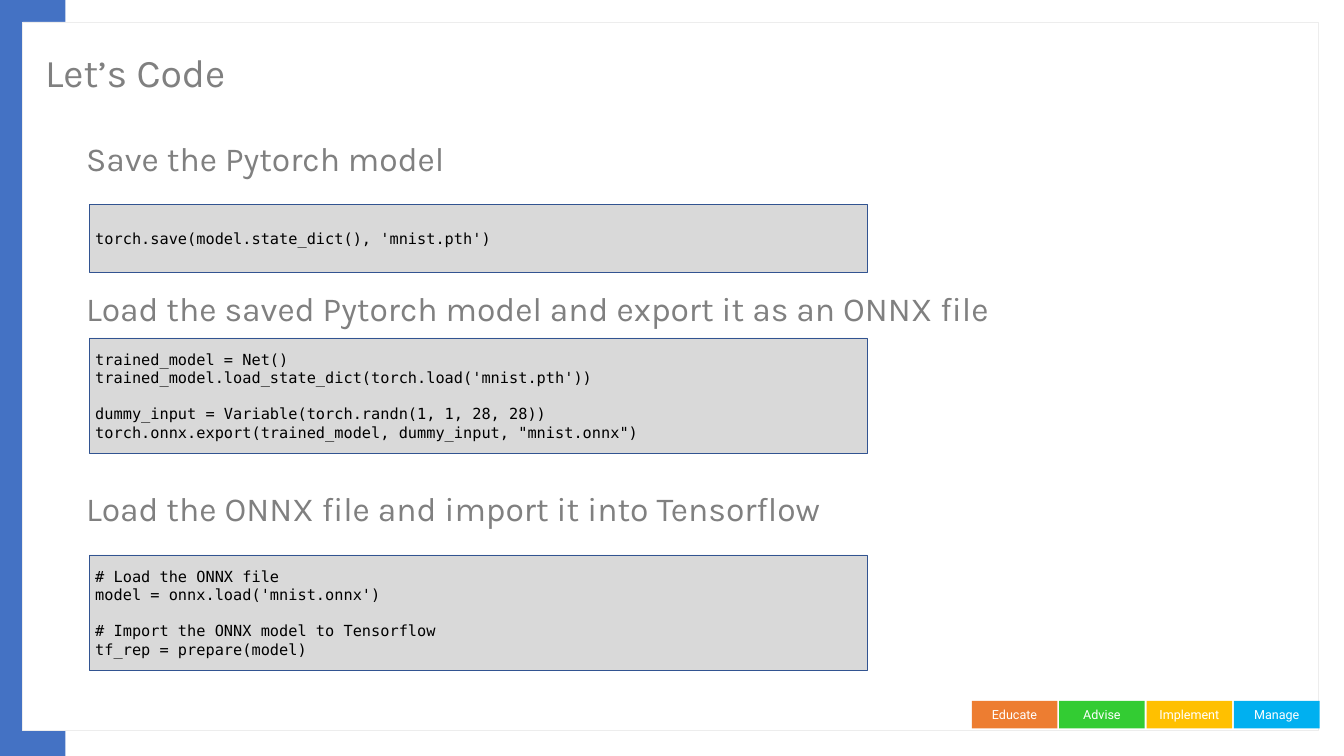
import pptx
import pptx.dml.color
import pptx.enum.shapes
import pptx.enum.text
import pptx.util

Inches = pptx.util.Inches
Pt = pptx.util.Pt
RGBColor = pptx.dml.color.RGBColor
PP_ALIGN = pptx.enum.text.PP_ALIGN

WHITE = RGBColor(0xFF, 0xFF, 0xFF)
BLACK = RGBColor(0x00, 0x00, 0x00)
BLUE = RGBColor(0x44, 0x72, 0xC4)
PANEL_EDGE = RGBColor(0xED, 0xED, 0xED)
HEADING_GRAY = RGBColor(0x80, 0x80, 0x80)
CODE_FILL = RGBColor(0xD9, 0xD9, 0xD9)
CODE_EDGE = RGBColor(0x32, 0x54, 0x91)
ORANGE = RGBColor(0xED, 0x7D, 0x31)
GREEN = RGBColor(0x33, 0xCC, 0x33)
AMBER = RGBColor(0xFF, 0xC0, 0x00)
SKY = RGBColor(0x00, 0xB0, 0xF0)

deck = pptx.Presentation()
deck.slide_width = Inches(21.99)
deck.slide_height = Inches(12.37)
slide = deck.slides.add_slide(deck.slide_layouts[6])


def add_box(left, top, width, height, fill, edge=None):
    box = slide.shapes.add_shape(
        pptx.enum.shapes.MSO_SHAPE.RECTANGLE,
        Inches(left), Inches(top), Inches(width), Inches(height))
    box.shadow.inherit = False
    box.fill.solid()
    box.fill.fore_color.rgb = fill
    if edge is None:
        box.line.fill.background()
    else:
        box.line.color.rgb = edge
        box.line.width = Pt(1)
    return box


def write_lines(holder, lines, size, font, color, align=PP_ALIGN.LEFT, spacing=1.0):
    """Write one paragraph per line; an empty line becomes space before the next."""
    frame = holder.text_frame
    frame.word_wrap = True
    frame.vertical_anchor = pptx.enum.text.MSO_ANCHOR.MIDDLE
    paragraph = frame.paragraphs[0]
    gap = 0
    for number, line in enumerate(lines):
        if not line:
            gap = size * 1.17
            continue
        if number:
            paragraph = frame.add_paragraph()
        paragraph.alignment = align
        paragraph.line_spacing = spacing
        paragraph.space_before = Pt(gap)
        gap = 0
        run = paragraph.add_run()
        run.text = line
        run.font.size = Pt(size)
        run.font.name = font
        run.font.color.rgb = color


# Blue side band and white panel
add_box(0, 0, 1.07, 12.37, BLUE)
add_box(0.37, 0.36, 21.21, 11.6, WHITE, PANEL_EDGE)

# Footer tabs
tabs = [("Educate", ORANGE), ("Advise", GREEN), ("Implement", AMBER), ("Manage", SKY)]
for index, (label, color) in enumerate(tabs):
    tab = add_box(15.9 + index * 1.43, 11.47, 1.4, 0.45, color)
    write_lines(tab, [label], 14.8, "Roboto", WHITE, PP_ALIGN.CENTER)

# Title and step headings: text, left, top, width, height, size
headings = [
    ("Let’s Code", 0.64, 0.5, 17.02, 1.44, 46.2),
    ("Save the Pytorch model", 1.31, 2.22, 19.91, 0.8, 39.6),
    ("Load the saved Pytorch model and export it as an ONNX file",
     1.31, 4.68, 19.91, 0.8, 39.6),
    ("Load the ONNX file and import it into Tensorflow", 1.31, 7.96, 19.91, 0.8, 39.6),
]
for text, left, top, width, height, size in headings:
    heading = slide.shapes.add_textbox(
        Inches(left), Inches(top), Inches(width), Inches(height))
    write_lines(heading, [text], size, "Karla", HEADING_GRAY, spacing=0.9)

# Code listings: top, height, lines
listings = [
    (3.34, 1.11, ["torch.save(model.state_dict(), 'mnist.pth')"]),
    (5.53, 1.89, [
        "trained_model = Net()",
        "trained_model.load_state_dict(torch.load('mnist.pth'))",
        "",
        "dummy_input = Variable(torch.randn(1, 1, 28, 28))",
        'torch.onnx.export(trained_model, dummy_input, "mnist.onnx")',
    ]),
    (9.08, 1.89, [
        "# Load the ONNX file",
        "model = onnx.load('mnist.onnx')",
        "",
        "# Import the ONNX model to Tensorflow",
        "tf_rep = prepare(model)",
    ]),
]
for top, height, code in listings:
    listing = add_box(1.46, top, 12.73, height, CODE_FILL, CODE_EDGE)
    write_lines(listing, code, 18, "DejaVu Sans Mono", BLACK)

deck.save("out.pptx")
